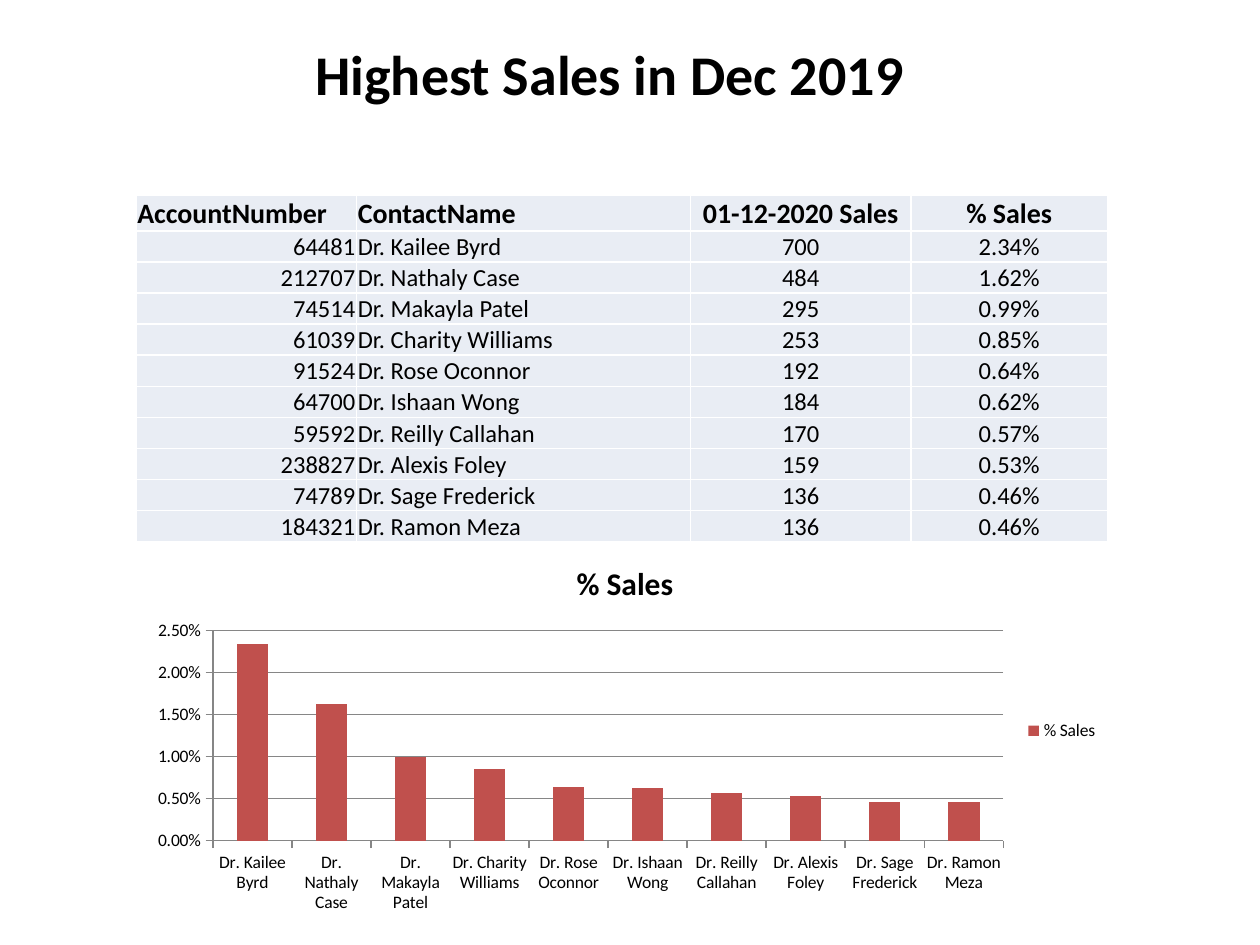
"""Build the slide on the highest sales in December 2019."""
from lxml import etree
from pptx import Presentation
from pptx import util as u
from pptx.chart.data import CategoryChartData
from pptx.dml.color import RGBColor
from pptx.enum import chart as charts, text
from pptx.oxml import ns

TITLE = "Highest Sales in Dec 2019"
HEADERS = ("AccountNumber", "ContactName", "01-12-2020 Sales", "% Sales")
ACCOUNTS = [
    (64481, "Dr. Kailee Byrd", 700, 0.0234),
    (212707, "Dr. Nathaly Case", 484, 0.0162),
    (74514, "Dr. Makayla Patel", 295, 0.0099),
    (61039, "Dr. Charity Williams", 253, 0.0085),
    (91524, "Dr. Rose Oconnor", 192, 0.0064),
    (64700, "Dr. Ishaan Wong", 184, 0.0062),
    (59592, "Dr. Reilly Callahan", 170, 0.0057),
    (238827, "Dr. Alexis Foley", 159, 0.0053),
    (74789, "Dr. Sage Frederick", 136, 0.0046),
    (184321, "Dr. Ramon Meza", 136, 0.0046),
]
COLUMN_WIDTHS = (1.75, 2.65, 1.75, 1.56)
ROW_HEIGHT = 0.21
LEFT, CENTER, RIGHT = text.PP_ALIGN.LEFT, text.PP_ALIGN.CENTER, text.PP_ALIGN.RIGHT
HEADER_ALIGNMENTS = (LEFT, LEFT, CENTER, CENTER)
BODY_ALIGNMENTS = (RIGHT, LEFT, CENTER, CENTER)

FONT = "Calibri"
BLACK = RGBColor(0x00, 0x00, 0x00)
WHITE = RGBColor(0xFF, 0xFF, 0xFF)
CELL_FILL = RGBColor(0xE9, 0xED, 0xF4)
BAR_RED = RGBColor(0xC0, 0x50, 0x4D)
AXIS_GRAY = RGBColor(0x86, 0x86, 0x86)


def style_font(font, size, bold=False):
    font.name, font.size, font.bold = FONT, u.Pt(size), bold
    font.color.rgb = BLACK


def style_line(line):
    line.color.rgb = AXIS_GRAY
    line.width = u.Pt(0.75)


def add_title(slide):
    title = slide.shapes.title
    title.left, title.top = u.Inches(0.59), u.Inches(0.21)
    title.width, title.height = u.Inches(8.5), u.Inches(0.74)
    title.text_frame.text = TITLE
    title.text_frame.vertical_anchor = text.MSO_ANCHOR.MIDDLE
    para = title.text_frame.paragraphs[0]
    para.alignment = CENTER
    style_font(para.font, 32, True)


def add_borders(cell):
    properties = cell._tc.get_or_add_tcPr()
    for index, side in enumerate(("lnL", "lnR", "lnT", "lnB")):
        border = etree.Element(ns.qn(f"a:{side}"), w=str(u.Pt(1)))
        fill = etree.SubElement(border, ns.qn("a:solidFill"))
        etree.SubElement(fill, ns.qn("a:srgbClr"), val=str(WHITE))
        properties.insert(index, border)


def fill_cell(cell, content, alignment, size, bold):
    cell.text = content
    cell.vertical_anchor = text.MSO_ANCHOR.BOTTOM
    cell.margin_left = cell.margin_top = cell.margin_right = u.Inches(0.01)
    cell.margin_bottom = 0
    cell.fill.solid()
    cell.fill.fore_color.rgb = CELL_FILL
    add_borders(cell)
    para = cell.text_frame.paragraphs[0]
    para.alignment = alignment
    style_font(para.font, size, bold)


def add_sales_table(slide):
    rows = [HEADERS] + [
        (str(number), name, str(sales), f"{share:.2%}")
        for number, name, sales, share in ACCOUNTS
    ]
    table = slide.shapes.add_table(
        len(rows), len(HEADERS), u.Inches(1.08), u.Inches(1.55),
        u.Inches(sum(COLUMN_WIDTHS)), u.Inches(ROW_HEIGHT * len(rows)),
    ).table
    table.first_row = table.horz_banding = False
    for column, width in zip(table.columns, COLUMN_WIDTHS):
        column.width = u.Inches(width)
    for index, (row, values) in enumerate(zip(table.rows, rows)):
        row.height = u.Inches(ROW_HEIGHT)
        header = index == 0
        alignments = HEADER_ALIGNMENTS if header else BODY_ALIGNMENTS
        for cell, value, alignment in zip(row.cells, values, alignments):
            fill_cell(cell, value, alignment, 16 if header else 14, header)


def add_share_chart(slide):
    data = CategoryChartData(number_format="0.00%")
    data.categories = [name for _, name, _, _ in ACCOUNTS]
    data.add_series(HEADERS[-1], [share for *_, share in ACCOUNTS])
    chart = slide.shapes.add_chart(
        charts.XL_CHART_TYPE.COLUMN_CLUSTERED,
        u.Inches(1.1), u.Inches(4.3), u.Inches(7.72), u.Inches(3), data,
    ).chart
    style_font(chart.font, 10)
    chart.has_title = True
    chart.chart_title.include_in_layout = False
    chart.chart_title.text_frame.text = HEADERS[-1]
    style_font(chart.chart_title.text_frame.paragraphs[0].font, 18, True)
    chart.has_legend = True
    chart.legend.position = charts.XL_LEGEND_POSITION.RIGHT
    chart.legend.include_in_layout = False

    plot = chart.plots[0]
    plot.gap_width = 150
    plot.vary_by_categories = False
    bars = plot.series[0].format.fill
    bars.solid()
    bars.fore_color.rgb = BAR_RED

    for axis in (chart.category_axis, chart.value_axis):
        axis.major_tick_mark = charts.XL_TICK_MARK.OUTSIDE
        axis.minor_tick_mark = charts.XL_TICK_MARK.NONE
        style_line(axis.format.line)
    values = chart.value_axis
    values.minimum_scale, values.maximum_scale, values.major_unit = 0, 0.025, 0.005
    values.tick_labels.number_format = "0.00%"
    values.tick_labels.number_format_is_linked = False
    values.has_major_gridlines = True
    style_line(values.major_gridlines.format.line)


def main():
    deck = Presentation()
    deck.slide_width, deck.slide_height = u.Inches(10), u.Inches(7.5)
    slide = deck.slides.add_slide(deck.slide_layouts.get_by_name("Title Only"))
    slide.background.fill.solid()
    slide.background.fill.fore_color.rgb = WHITE
    add_title(slide)
    add_sales_table(slide)
    add_share_chart(slide)
    deck.save("out.pptx")


if __name__ == "__main__":
    main()
